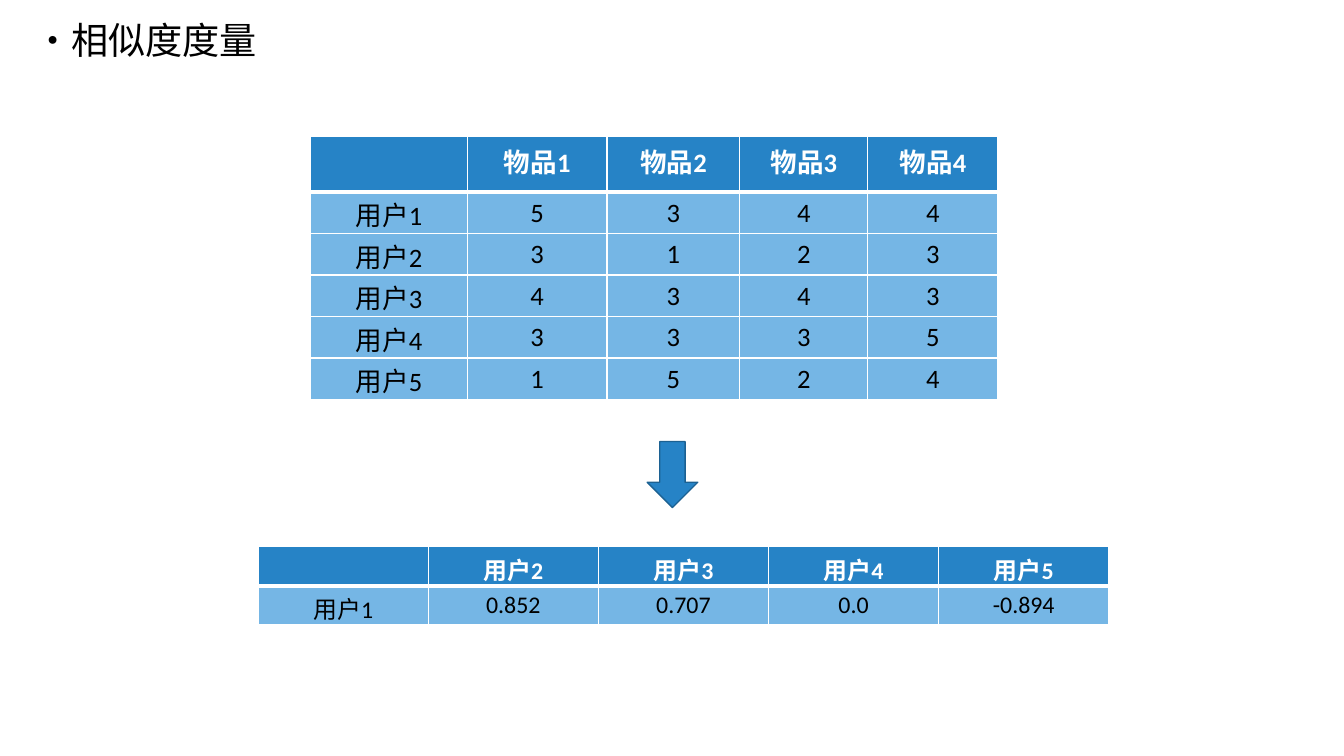
import pptx
import pptx.util
import pptx.dml.color
import pptx.enum.shapes
import pptx.enum.text
import pptx.oxml
import pptx.oxml.ns

Inches = pptx.util.Inches
Pt = pptx.util.Pt
ANCHOR = pptx.enum.text.MSO_ANCHOR

HEADING = "·相似度度量"
RATINGS = {
    "rows": [
        ("", "物品1", "物品2", "物品3", "物品4"),
        ("用户1", "5", "3", "4", "4"),
        ("用户2", "3", "1", "2", "3"),
        ("用户3", "4", "3", "4", "3"),
        ("用户4", "3", "3", "3", "5"),
        ("用户5", "1", "5", "2", "4"),
    ],
    "origin": (3.25, 1.43),
    "widths": [1.64, 1.46, 1.39, 1.34, 1.36],
    "heights": [0.58] + [0.43] * 5,
    "size": 20,
}
SIMILARITIES = {
    "rows": [
        ("", "用户2", "用户3", "用户4", "用户5"),
        ("用户1", "0.852", "0.707", "0.0", "-0.894"),
    ],
    "origin": (2.7, 5.72),
    "widths": [1.78] * 5,
    "heights": [0.41] * 2,
    "size": 18,
}
COLORS = {
    "header": "2683C6",
    "body": "75B6E5",
    "outline": "1C6192",
    "light": "FFFFFF",
    "dark": "000000",
}
LATIN, HAN = "Calibri", "Noto Sans CJK SC"
USER_CELL = {"vertical_anchor": ANCHOR.BOTTOM, "margin_top": 0, "margin_bottom": 0}
VALUE_CELL = {"vertical_anchor": ANCHOR.TOP, "margin_top": Inches(0.05), "margin_bottom": Inches(0.05)}
HEADING_FRAME = {
    "word_wrap": True,
    "vertical_anchor": ANCHOR.TOP,
    "margin_left": Inches(0.1),
    "margin_top": 0,
    "margin_bottom": 0,
}


def rgb(name):
    return pptx.dml.color.RGBColor.from_string(COLORS[name])


def apply(target, values):
    for key, value in values.items():
        setattr(target, key, value)


def write(paragraph, text, color, **font):
    run = paragraph.add_run()
    run.text = text
    apply(run.font, font)
    run.font.color.rgb = rgb(color)
    han = pptx.oxml.parse_xml(f'<a:ea {pptx.oxml.ns.nsdecls("a")} typeface="{HAN}"/>')
    run.font._element.find(pptx.oxml.ns.qn("a:latin")).addnext(han)


def add_borders(cell, bottom):
    properties = cell._tc.get_or_add_tcPr()
    for place, (side, points) in enumerate({"L": 1, "R": 1, "T": 1, "B": bottom}.items()):
        properties.insert(place, pptx.oxml.parse_xml(
            f'<a:ln{side} {pptx.oxml.ns.nsdecls("a")} w="{Pt(points)}"><a:solidFill>'
            f'<a:srgbClr val="{COLORS["light"]}"/></a:solidFill></a:ln{side}>'))


def add_grid(slide, content):
    rows, widths, heights = content["rows"], content["widths"], content["heights"]
    extent = (*content["origin"], sum(widths), sum(heights))
    grid = slide.shapes.add_table(len(rows), len(widths), *map(Inches, extent)).table
    apply(grid, {"first_row": False, "horz_banding": False})
    for column, width in zip(grid.columns, widths):
        column.width = Inches(width)
    for index, (row, height) in enumerate(zip(grid.rows, heights)):
        row.height = Inches(height)
        header = index == 0
        for cell, text in zip(row.cells, rows[index]):
            apply(cell, USER_CELL if text.startswith("用户") else VALUE_CELL)
            cell.fill.solid()
            cell.fill.fore_color.rgb = rgb("header" if header else "body")
            add_borders(cell, 3 if header else 1)
            if text:
                paragraph = cell.text_frame.paragraphs[0]
                paragraph.alignment = pptx.enum.text.PP_ALIGN.CENTER
                write(paragraph, text, "light" if header else "dark",
                      name=LATIN, size=Pt(content["size"]), bold=header)


def main():
    deck = pptx.Presentation()
    apply(deck, {"slide_width": Inches(14.06), "slide_height": Inches(7.91)})
    slide = deck.slides.add_slide(deck.slide_layouts[6])

    heading = slide.shapes.add_textbox(*map(Inches, (0.26, 0.23, 3.47, 0.42))).text_frame
    apply(heading, HEADING_FRAME)
    heading.paragraphs[0].line_spacing = 0.9
    write(heading.paragraphs[0], HEADING, "dark", name=HAN, size=Pt(28))

    for content in (RATINGS, SIMILARITIES):
        add_grid(slide, content)

    arrow = slide.shapes.add_shape(
        pptx.enum.shapes.MSO_SHAPE.DOWN_ARROW, *map(Inches, (6.77, 4.62, 0.53, 0.69)))
    arrow.shadow.inherit = False
    arrow.fill.solid()
    arrow.fill.fore_color.rgb = rgb("header")
    arrow.line.color.rgb = rgb("outline")
    arrow.line.width = Pt(1)

    deck.save("out.pptx")


if __name__ == "__main__":
    main()
